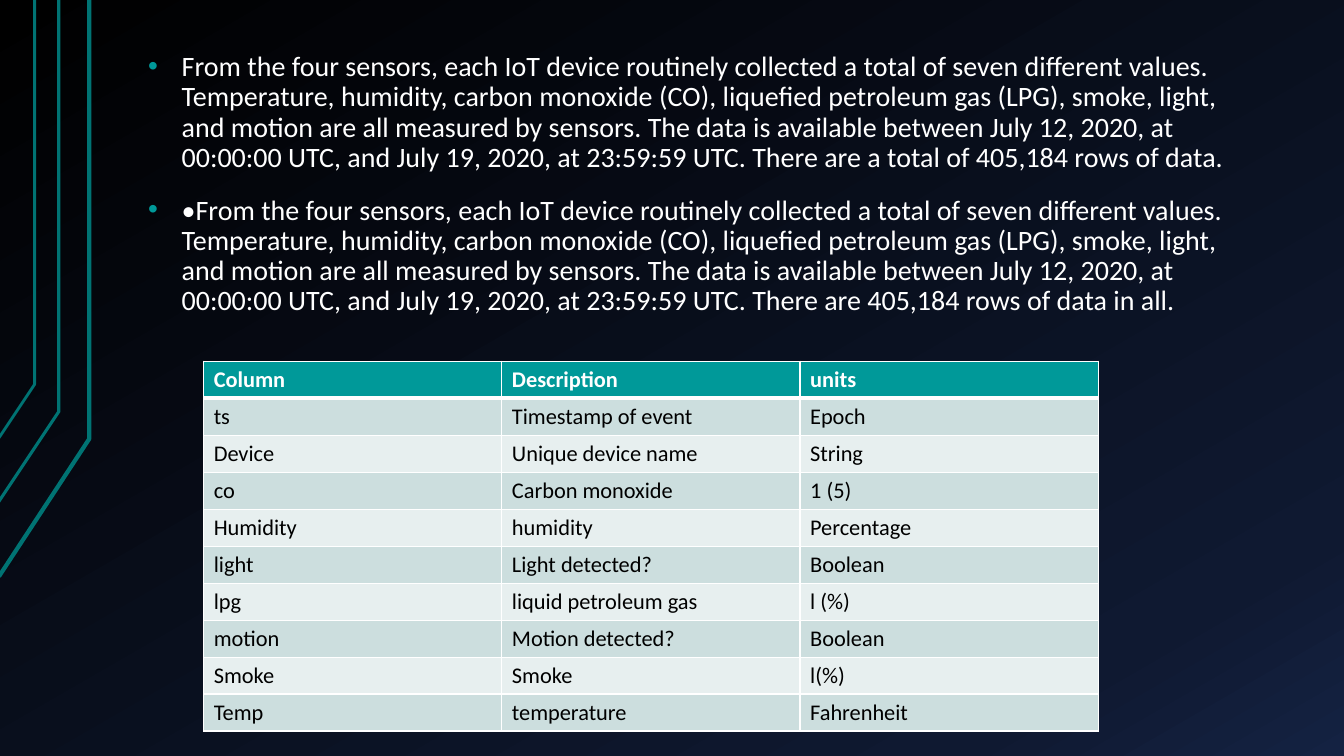
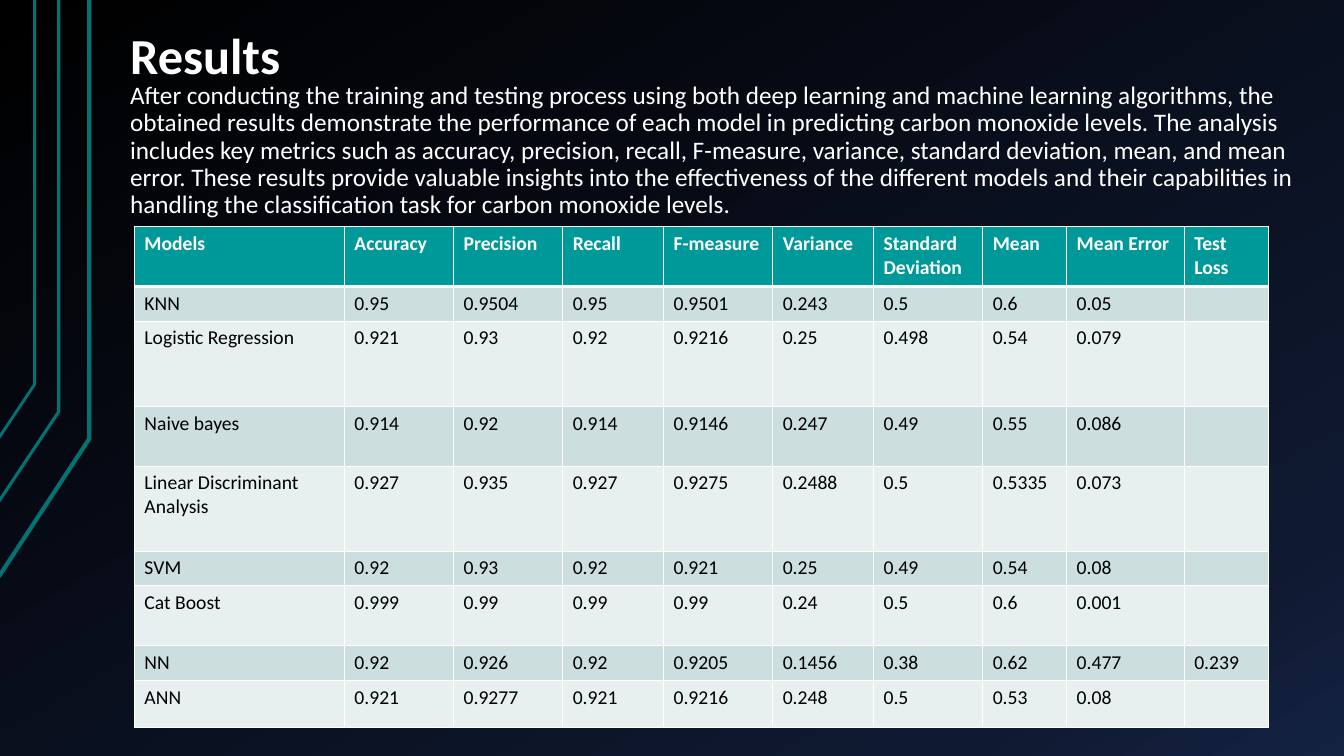
import lxml.etree
import pptx
import pptx.dml.color
import pptx.enum.text
import pptx.oxml.ns
import pptx.util
import copy

RGBColor = pptx.dml.color.RGBColor
qn = pptx.oxml.ns.qn

PX = 9525  # EMU in one px, 96 px to the inch
FONT = "Calibri"
WHITE = RGBColor(0xFF, 0xFF, 0xFF)
BLACK = RGBColor(0x00, 0x00, 0x00)
NAVY = RGBColor(0x0F, 0x19, 0x31)
BLUE = RGBColor(0x14, 0x22, 0x42)
TEAL = RGBColor(0x00, 0x99, 0x99)
DARK_TEAL = RGBColor(0x00, 0x73, 0x73)
BAND_DARK = RGBColor(0xCC, 0xDE, 0xDE)
BAND_LIGHT = RGBColor(0xE7, 0xEF, 0xEF)

BACKGROUND_STOPS = [(0, BLACK), (0.85, NAVY), (1, BLUE)]
# Corner points and line width in points
SIDE_LINES = [
    ([(-1, 549), (85, 418), (85, 0)], 3),
    ([(-2, 479), (56, 392), (56, 0)], 2.25),
    ([(-1, 417), (33, 366), (33, 0)], 2),
]

SENSOR_TEXT = (
    "From the four sensors, each IoT device routinely collected a total of seven "
    "different values. Temperature, humidity, carbon monoxide (CO), liquefied petroleum "
    "gas (LPG), smoke, light, and motion are all measured by sensors. The data is "
    "available between July 12, 2020, at 00:00:00 UTC, and July 19, 2020, at 23:59:59 UTC. "
)
SENSOR_PARAGRAPHS = [
    SENSOR_TEXT + "There are a total of 405,184 rows of data.",
    "•" + SENSOR_TEXT + "There are 405,184 rows of data in all.",
]
SENSOR_ROWS = [
    ["Column", "Description", "units"],
    ["ts", "Timestamp of event", "Epoch"],
    ["Device", "Unique device name", "String"],
    ["co", "Carbon monoxide", "1 (5)"],
    ["Humidity", "humidity", "Percentage"],
    ["light", "Light detected?", "Boolean"],
    ["lpg", "liquid petroleum gas", "l (%)"],
    ["motion", "Motion detected?", "Boolean"],
    ["Smoke", "Smoke", "l(%)"],
    ["Temp", "temperature", "Fahrenheit"],
]

RESULTS_TEXT = (
    "After conducting the training and testing process using both deep learning and "
    "machine learning algorithms, the obtained results demonstrate the performance of "
    "each model in predicting carbon monoxide levels. The analysis includes key metrics "
    "such as accuracy, precision, recall, F-measure, variance, standard deviation, mean, "
    "and mean error. These results provide valuable insights into the effectiveness of "
    "the different models and their capabilities in handling the classification task for "
    "carbon monoxide levels."
)
RESULTS_ROWS = [
    ["Models", "Accuracy", "Precision", "Recall", "F-measure", "Variance",
     "Standard Deviation", "Mean", "Mean Error", "Test\nLoss"],
    ["KNN", "0.95", "0.9504", "0.95", "0.9501", "0.243", "0.5", "0.6", "0.05", ""],
    ["Logistic Regression", "0.921", "0.93", "0.92", "0.9216", "0.25", "0.498", "0.54",
     "0.079", ""],
    ["Naive bayes", "0.914", "0.92", "0.914", "0.9146", "0.247", "0.49", "0.55",
     "0.086", ""],
    ["Linear Discriminant Analysis", "0.927", "0.935", "0.927", "0.9275", "0.2488", "0.5",
     "0.5335", "0.073", ""],
    ["SVM", "0.92", "0.93", "0.92", "0.921", "0.25", "0.49", "0.54", "0.08", ""],
    ["Cat Boost", "0.999", "0.99", "0.99", "0.99", "0.24", "0.5", "0.6", "0.001", ""],
    ["NN", "0.92", "0.926", "0.92", "0.9205", "0.1456", "0.38", "0.62", "0.477", "0.239"],
    ["ANN", "0.921", "0.9277", "0.921", "0.9216", "0.248", "0.5", "0.53", "0.08", ""],
]
RESULTS_COLUMNS = [200, 104, 104, 96, 104, 96, 104, 80, 112, 80]
RESULTS_HEIGHTS = [57, 33, 81, 57, 81, 33, 57, 33, 45]


def px(*lengths):
    return [length * PX for length in lengths]


def set_background(master):
    fill = master.background.fill
    fill.gradient()
    fill.gradient_angle = 300
    stop_list = master.element.find(".//" + qn("a:gsLst"))
    stop_list.append(copy.deepcopy(stop_list[-1]))
    for stop, (position, color) in zip(fill.gradient_stops, BACKGROUND_STOPS):
        stop.position = position
        stop.color.rgb = color


def add_slide(deck):
    """Add a blank slide with the lines down its left side."""
    slide = deck.slides.add_slide(deck.slide_layouts[6])
    for points, width in SIDE_LINES:
        builder = slide.shapes.build_freeform(*points[0], scale=PX)
        builder.add_line_segments(points[1:], close=False)
        line = builder.convert_to_shape()
        line.shadow.inherit = False
        line.fill.background()
        line.line.color.rgb = DARK_TEAL
        line.line.width = pptx.util.Pt(width)
    return slide


def add_run(para, text, size, color, bold=False):
    span = para.add_run()
    span.text = text
    span.font.name = FONT
    span.font.size = pptx.util.Pt(size)
    span.font.bold = bold
    span.font.color.rgb = color


def add_bullet(para):
    properties = para._p.get_or_add_pPr()
    properties.set("marL", str(32 * PX))
    properties.set("indent", str(-32 * PX))
    color = lxml.etree.SubElement(properties, qn("a:buClr"))
    lxml.etree.SubElement(color, qn("a:srgbClr"), val=str(TEAL))
    lxml.etree.SubElement(properties, qn("a:buFont"), typeface="Arial")
    lxml.etree.SubElement(properties, qn("a:buChar"), char="•")


def add_text(slide, place, texts, size, bold=False, bullets=False, space_before=16,
             anchor=pptx.enum.text.MSO_ANCHOR.TOP):
    frame = slide.shapes.add_textbox(*px(*place)).text_frame
    frame.word_wrap = True
    frame.vertical_anchor = anchor
    frame.margin_left, frame.margin_right = px(13, 13)
    frame.margin_top, frame.margin_bottom = px(7, 7)
    for index, text in enumerate(texts):
        para = frame.add_paragraph() if index else frame.paragraphs[0]
        para.line_spacing = 0.9
        para.space_before = pptx.util.Pt(space_before)
        if bullets:
            add_bullet(para)
        add_run(para, text, size, WHITE, bold)


def add_title(slide, text):
    add_text(slide, (111, 16, 1088, 72), [text], 36, bold=True, space_before=0,
             anchor=pptx.enum.text.MSO_ANCHOR.BOTTOM)


def set_borders(cell, top, bottom):
    """Draw white cell borders; top and bottom widths are in points."""
    properties = cell._tc.get_or_add_tcPr()
    for side, width in (("L", 1), ("R", 1), ("T", top), ("B", bottom)):
        border = lxml.etree.SubElement(
            properties, qn("a:ln" + side), w=str(pptx.util.Pt(width)))
        fill = lxml.etree.SubElement(border, qn("a:solidFill"))
        lxml.etree.SubElement(fill, qn("a:srgbClr"), val=str(WHITE))


def fill_cell(cell, text, row_index, size):
    is_header = row_index == 0
    set_borders(cell, top=3 if row_index == 1 else 1, bottom=3 if is_header else 1)
    cell.fill.solid()
    band = BAND_DARK if row_index % 2 else BAND_LIGHT
    cell.fill.fore_color.rgb = TEAL if is_header else band
    frame = cell.text_frame
    for index, line in enumerate(text.split("\n")):
        para = frame.add_paragraph() if index else frame.paragraphs[0]
        if line:
            add_run(para, line, size, WHITE if is_header else BLACK, is_header)
        else:
            # An empty cell still needs its text size, or its row grows
            lxml.etree.SubElement(para._p, qn("a:endParaRPr"), sz=str(size * 100))


def add_table(slide, left, top, rows, widths, heights, size):
    place = px(left, top, sum(widths), sum(heights))
    table = slide.shapes.add_table(len(rows), len(widths), *place).table
    table.horz_banding = False
    for column, width in zip(table.columns, widths):
        column.width = width * PX
    for row_index, (row, height) in enumerate(zip(rows, heights)):
        table.rows[row_index].height = height * PX
        for column_index, text in enumerate(row):
            fill_cell(table.cell(row_index, column_index), text, row_index, size)


def add_sensor_slide(deck):
    slide = add_slide(deck)
    add_text(slide, (128, 43, 1088, 468), SENSOR_PARAGRAPHS, 20, bullets=True)
    add_table(slide, 194, 344, SENSOR_ROWS, [284] * 3, [35] * len(SENSOR_ROWS), 16)


def add_results_slide(deck):
    slide = add_slide(deck)
    add_title(slide, "Results")
    add_text(slide, (111, 72, 1144, 560), [RESULTS_TEXT], 18)
    add_table(slide, 128, 216, RESULTS_ROWS, RESULTS_COLUMNS, RESULTS_HEIGHTS, 14)


def main():
    deck = pptx.Presentation()
    deck.slide_width, deck.slide_height = px(1280, 720)
    set_background(deck.slide_master)
    add_sensor_slide(deck)
    add_results_slide(deck)
    deck.save("out.pptx")


if __name__ == "__main__":
    main()
